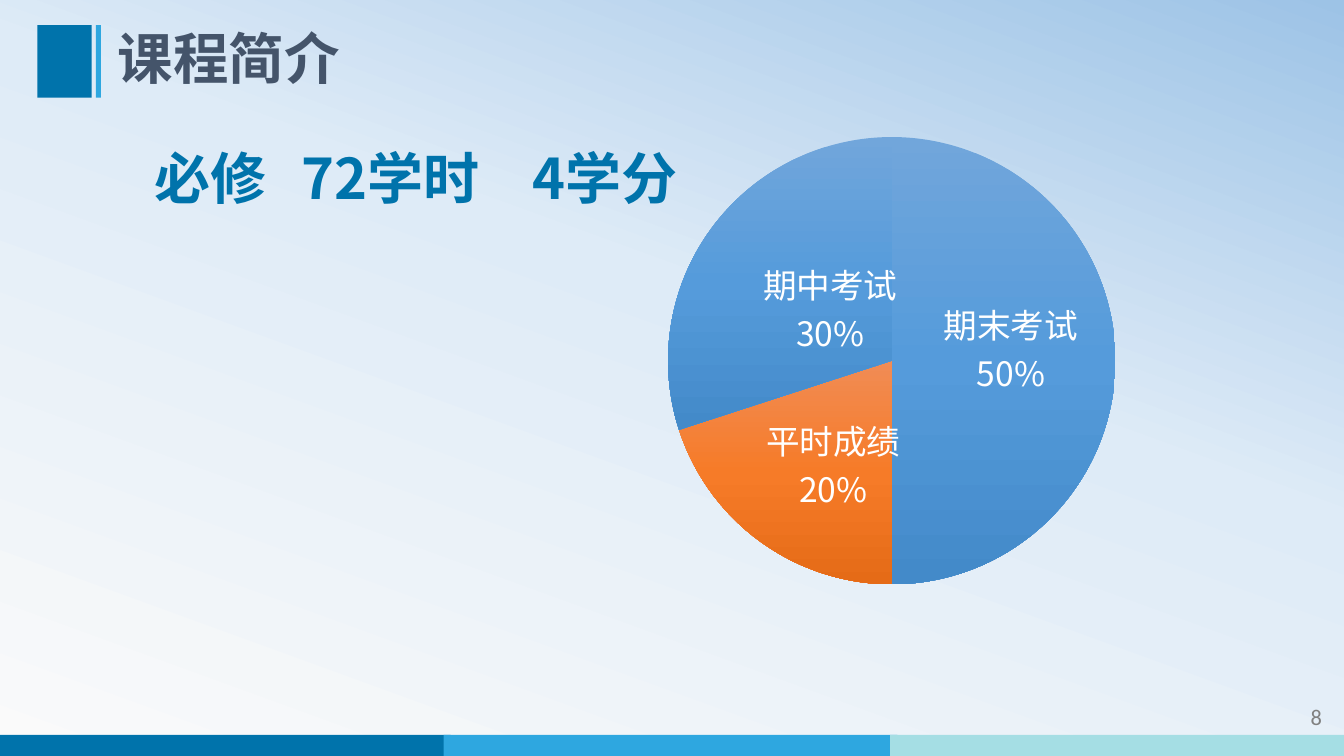
from lxml.etree import SubElement
from pptx import Presentation
from pptx.chart.data import CategoryChartData
from pptx.dml.color import RGBColor
from pptx.enum.chart import XL_CHART_TYPE, XL_LABEL_POSITION
from pptx.enum.shapes import MSO_SHAPE
from pptx.enum.text import MSO_ANCHOR, PP_ALIGN
from pptx.oxml import parse_xml
from pptx.oxml.ns import nsdecls, qn
from pptx.util import Inches, Pt

CJK = "Noto Sans CJK SC"
NAVY, SKY, AQUA = "0073AB", "2EA7E0", "A5DEE4"
BLUE_FADE = [(0, "71A6DB"), (50, "559BDB"), (100, "438AC9")]
ORANGE_FADE = [(0, "F18C55"), (50, "F67B28"), (100, "E56B17")]


def color(value):
    return RGBColor.from_string(value)


def apply(target, formats):
    for name, value in formats.items():
        setattr(target, name, value)


def style_font(font, size, value, bold=False, name=CJK):
    apply(font, {"size": Pt(size), "bold": bold, "name": name})
    font.color.rgb = color(value)


def add_east_asian(root):
    """Give East Asian text the same typeface as Latin text."""
    for latin in list(root.iter(qn("a:latin"))):
        latin.addnext(parse_xml(
            f'<a:ea {nsdecls("a")} typeface="{latin.get("typeface")}"/>'))


def gradient(fill, root, stops, angle):
    """Fill with any number of stops; the newest stop list is last in root."""
    fill.gradient()
    fill.gradient_angle = angle
    stop_list = list(root.iter(qn("a:gsLst")))[-1]
    for old in list(stop_list):
        stop_list.remove(old)
    for position, value in stops:
        stop = SubElement(stop_list, qn("a:gs"), pos=str(position * 1000))
        SubElement(stop, qn("a:srgbClr"), val=value)


def manual_layout(**values):
    parts = "".join(f'<c:{key} val="{value}"/>' for key, value in values.items())
    return parse_xml(f'<c:layout {nsdecls("c")}><c:manualLayout>{parts}'
                     "</c:manualLayout></c:layout>")


class SlideBuilder:
    def __init__(self, deck):
        self.page = deck.slides.add_slide(deck.slide_layouts[5])

    def background(self, stops, angle):
        gradient(self.page.background.fill, self.page.element, stops, angle)

    def bar(self, left, top, width, height, value):
        bar = self.page.shapes.add_shape(
            MSO_SHAPE.RECTANGLE, *map(Inches, (left, top, width, height)))
        bar.shadow.inherit = False
        bar.fill.solid()
        bar.fill.fore_color.rgb = color(value)
        bar.line.fill.background()

    def fill_text(self, box, text, anchor, align, **font):
        frame = box.text_frame
        apply(frame, {"word_wrap": True, "vertical_anchor": anchor})
        para = frame.paragraphs[0]
        para.alignment = align
        span = para.add_run()
        span.text = text
        style_font(span.font, **font)
        return para

    def title(self, text, left, top, width, height, **font):
        box = self.page.shapes.title
        apply(box, {"left": Inches(left), "top": Inches(top),
                    "width": Inches(width), "height": Inches(height)})
        para = self.fill_text(box, text, MSO_ANCHOR.MIDDLE, PP_ALIGN.LEFT, **font)
        para.line_spacing = 0.9

    def text(self, text, left, top, width, height, anchor=MSO_ANCHOR.TOP,
             align=PP_ALIGN.LEFT, tabs=(), **font):
        box = self.page.shapes.add_textbox(
            *map(Inches, (left, top, width, height)))
        para = self.fill_text(box, text, anchor, align, **font)
        if tabs:
            tab_list = SubElement(para._p.get_or_add_pPr(), qn("a:tabLst"))
            for stop in tabs:
                SubElement(tab_list, qn("a:tab"), pos=str(Inches(stop)), algn="l")

    def pie(self, left, top, width, height, slices):
        data = CategoryChartData()
        data.categories = [name for name, *_ in slices]
        data.add_series("Series 1", [share for _, share, *_ in slices])
        chart = self.page.shapes.add_chart(
            XL_CHART_TYPE.PIE, *map(Inches, (left, top, width, height)),
            data).chart
        apply(chart, {"has_title": False, "has_legend": False})
        style_font(chart.font, 24, "FFFFFF")
        plot = chart.plots[0]
        plot.vary_by_categories = True

        # Fixed circle inside the chart frame
        area = next(chart.element.iter(qn("c:plotArea")))
        for old in area.findall(qn("c:layout")):
            area.remove(old)
        area.insert(0, manual_layout(layoutTarget="inner", xMode="edge",
                                     yMode="edge", x=0.17, y=0.12, w=0.62, h=0.71))

        # Slices and their labels
        for index, (_, _, stops, _) in enumerate(slices):
            point = plot.series[0].points[index]
            gradient(point.format.fill, chart.element, stops, 270)
            point.format.line.fill.background()
            point.data_label.position = XL_LABEL_POSITION.CENTER
            style_font(point.data_label.font, 24, "FFFFFF")
        for label, (*_, shift) in zip(chart.element.iter(qn("c:dLbl")), slices):
            label.find(qn("c:idx")).addnext(manual_layout(x=shift[0], y=shift[1]))
            for flag, shown in (("Val", 0), ("CatName", 1), ("Percent", 1)):
                label.find(qn(f"c:show{flag}")).set("val", str(shown))
            SubElement(label, qn("c:separator")).text = "\n"
        add_east_asian(chart.element)


def main():
    deck = Presentation()
    apply(deck, {"slide_width": Inches(13.33), "slide_height": Inches(7.5)})
    slide = SlideBuilder(deck)

    # Background, footer band and title marks
    slide.background([(0, "FAFAFA"), (58, "DEEBF7"), (100, "9DC3E6")], 70)
    for left, value in ((-0.03, NAVY), (4.4, SKY), (8.83, AQUA)):
        slide.bar(left, 7.29, 4.5, 0.21, value)
    slide.bar(0.37, 0.25, 0.54, 0.72, NAVY)
    slide.bar(0.95, 0.25, 0.05, 0.72, SKY)

    # Page number, title and course facts
    slide.text("8", 11.62, 6.91, 1.59, 0.4, MSO_ANCHOR.MIDDLE, PP_ALIGN.RIGHT,
               size=16, value="808080", name="Calibri")
    slide.title("课程简介", 1.07, 0.25, 10.86, 0.72,
                size=39.6, value="44546A", bold=True)
    slide.text("必修\t72学时\t4学分", 1.43, 1.37, 9, 1.07, tabs=(1.46, 3.75),
               size=40, value=NAVY, bold=True)

    # Grade shares
    slide.pie(5.38, 0.61, 7.22, 6.25, [
        ("期末考试", 50, BLUE_FADE, (0.01, -0.02)),
        ("平时成绩", 20, ORANGE_FADE, (0.01, 0.02)),
        ("期中考试", 30, BLUE_FADE, (0.04, 0.02)),
    ])

    add_east_asian(slide.page.element)
    deck.save("out.pptx")


if __name__ == "__main__":
    main()
